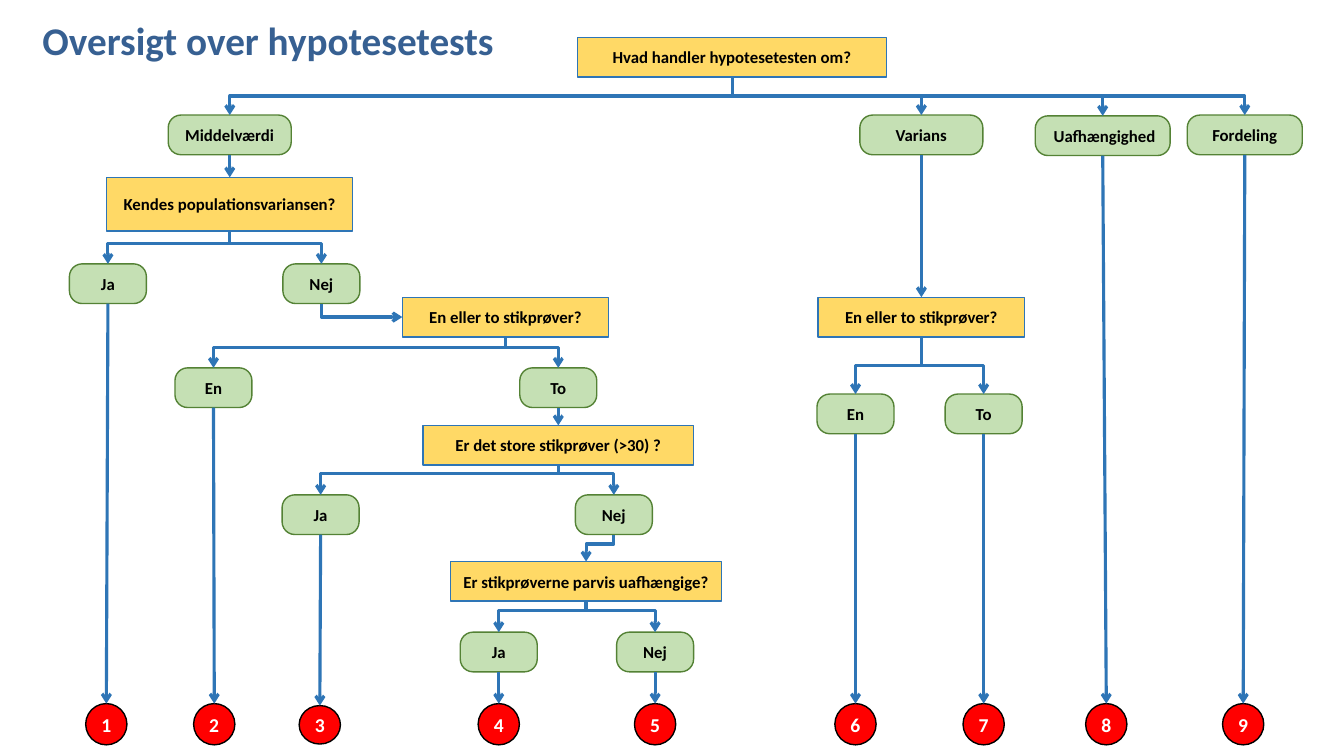
from lxml import etree
from pptx import Presentation
from pptx.dml.color import RGBColor
from pptx.enum import shapes, text
from pptx.oxml.ns import qn
from pptx.util import Cm, Pt

BLUE = RGBColor(0x2E, 0x75, 0xB6)
NAVY = RGBColor(0x37, 0x60, 0x92)
GOLD = RGBColor(0xFF, 0xD9, 0x66)
GREEN = RGBColor(0xC5, 0xE0, 0xB4)
MOSS = RGBColor(0x54, 0x82, 0x35)
RED = RGBColor(0xFF, 0x00, 0x00)
BLACK = RGBColor(0x00, 0x00, 0x00)
WHITE = RGBColor(0xFF, 0xFF, 0xFF)

KIND = shapes.MSO_SHAPE
LINK = shapes.MSO_CONNECTOR
TOP, LEFT, BOTTOM = 0, 1, 2  # connection sites of a box


class Chart:
    """Draws a decision tree; x is the centre of a box, y its top, in cm."""

    font = "Calibri"
    high = 1.0

    def __init__(self, slide):
        self.slide = slide

    def label(self, frame, words, size, color):
        frame.word_wrap = True
        frame.vertical_anchor = text.MSO_ANCHOR.MIDDLE
        frame.margin_left = frame.margin_right = Cm(0.1)
        para = frame.paragraphs[0]
        para.alignment = text.PP_ALIGN.CENTER
        run = para.add_run()
        run.text = words
        run.font.name = self.font
        run.font.size = Pt(size)
        run.font.bold = True
        run.font.color.rgb = color

    def title(self, words, x, y, w, h):
        head = self.slide.shapes.title
        head.left, head.top, head.width, head.height = Cm(x), Cm(y), Cm(w), Cm(h)
        self.label(head.text_frame, words, 28, NAVY)

    def node(self, kind, words, x, y, w, h, fill, edge, size=12, color=BLACK):
        box = self.slide.shapes.add_shape(kind, Cm(x - w / 2), Cm(y), Cm(w), Cm(h))
        box.shadow.inherit = False
        box.fill.solid()
        box.fill.fore_color.rgb = fill
        box.line.color.rgb = edge
        box.line.width = Pt(1)
        self.label(box.text_frame, words, size, color)
        return box

    def ask(self, words, x, y, w, h=high):
        return self.node(KIND.RECTANGLE, words, x, y, w, h, GOLD, BLUE)

    def reply(self, words, x, y, w=1.94):
        box = self.node(KIND.ROUNDED_RECTANGLE, words, x, y, w, self.high, GREEN, MOSS)
        box.adjustments[0] = 0.32
        return box

    def test(self, words, x, y=17.73, h=1.04):
        return self.node(KIND.OVAL, words, x, y, 1.04, h, RED, BLACK, 14, WHITE)

    def link(self, kind, start, end, site=TOP):
        line = self.slide.shapes.add_connector(kind, 0, 0, 0, 0)
        line.begin_connect(start, BOTTOM)
        line.end_connect(end, site)
        line.line.color.rgb = BLUE
        line.line.width = Pt(2.25)
        props = line.element.spPr
        tip = etree.SubElement(props.find(qn("a:ln")), qn("a:tailEnd"))
        tip.set("type", "arrow")
        etree.SubElement(props, qn("a:effectLst"))
        return line

    def drop(self, start, end):
        self.link(LINK.STRAIGHT, start, end)

    def bend(self, start, end, turn=0.5, site=TOP):
        """Elbow that leaves downwards; turn is the share of the drop before it bends."""
        line = self.link(LINK.ELBOW, start, end, site)
        x1, y1 = start.left + start.width // 2, start.top + start.height
        x2, y2 = end.left, end.top
        if site == TOP:
            x2 += end.width // 2
        else:
            y2 += end.height // 2
        # The elbow runs sideways by nature, so its frame is turned a quarter.
        w, h = y2 - y1, abs(x2 - x1)
        line.left, line.top = (x1 + x2 - w) // 2, (y1 + y2 - h) // 2
        line.width, line.height = w, h
        frame = line.element.spPr.find(qn("a:xfrm"))
        for name in ("flipH", "flipV"):
            frame.attrib.pop(name, None)
        frame.set("rot", "16200000" if x2 > x1 else "5400000")
        if x2 > x1:
            frame.set("flipH", "1")
        shape = line.element.spPr.find(qn("a:prstGeom"))
        if site == LEFT:
            shape.set("prst", "bentConnector2")
        else:
            guide = etree.SubElement(shape.find(qn("a:avLst")), qn("a:gd"))
            guide.set("name", "adj1")
            guide.set("fmla", f"val {round(turn * 100000)}")

    def fork(self, start, ends, turn=0.5):
        for end in ends:
            self.bend(start, end, turn)


def main():
    deck = Presentation()
    deck.slide_width, deck.slide_height = Cm(33.87), Cm(19.05)
    c = Chart(deck.slides.add_slide(deck.slide_layouts[5]))
    c.title("Oversigt over hypotesetests", 0.43, 0.33, 12.65, 1.37)

    root = c.ask("Hvad handler hypotesetesten om?", 18.45, 0.94, 7.8)
    mean = c.reply("Middelværdi", 5.79, 2.9, 3.1)
    spread = c.reply("Varians", 23.22, 2.9, 3.1)
    free = c.reply(" Uafhængighed", 27.79, 2.92, 3.4)
    fit = c.reply("Fordeling", 31.37, 2.9, 2.9)
    c.fork(root, (mean, spread, free, fit))

    known = c.ask("Kendes populationsvariansen?", 5.79, 4.47, 6.2, 1.35)
    c.bend(mean, known)
    yes = c.reply("Ja", 2.72, 6.65)
    no = c.reply("Nej", 8.1, 6.65)
    c.fork(known, (yes, no), 0.37)

    count = c.ask("En eller to stikprøver?", 12.74, 7.49, 5.2)
    c.bend(no, count, site=LEFT)
    one = c.reply("En", 5.38, 9.27)
    two = c.reply("To", 14.07, 9.27)
    c.fork(count, (one, two), 0.33)

    large = c.ask("Er det store stikprøver (>30) ?", 14.07, 10.72, 6.81)
    c.bend(two, large)
    big = c.reply("Ja", 8.08, 12.47)
    small = c.reply("Nej", 15.47, 12.47)
    c.fork(large, (big, small), 0.29)

    pairs = c.ask("Er stikprøverne parvis uafhængige?", 14.77, 14.15, 6.83)
    c.bend(small, pairs, 0.35)
    apart = c.reply("Ja", 12.57, 15.93)
    paired = c.reply("Nej", 16.51, 15.93)
    c.fork(pairs, (apart, paired), 0.3)

    groups = c.ask("En eller to stikprøver?", 23.22, 7.49, 5.2)
    c.bend(spread, groups)
    single = c.reply("En", 21.56, 9.93)
    double = c.reply("To", 24.79, 9.93)
    c.fork(groups, (single, double))

    ends = ((yes, 2.68), (one, 5.4), (big, 8.06), (apart, 12.57), (paired, 16.51),
            (single, 21.56), (double, 24.79), (free, 27.88), (fit, 31.33))
    for number, (leaf, x) in enumerate(ends, 1):
        size = (17.78, 0.97) if leaf is big else ()
        c.drop(leaf, c.test(str(number), x, *size))

    deck.save("out.pptx")


if __name__ == "__main__":
    main()
